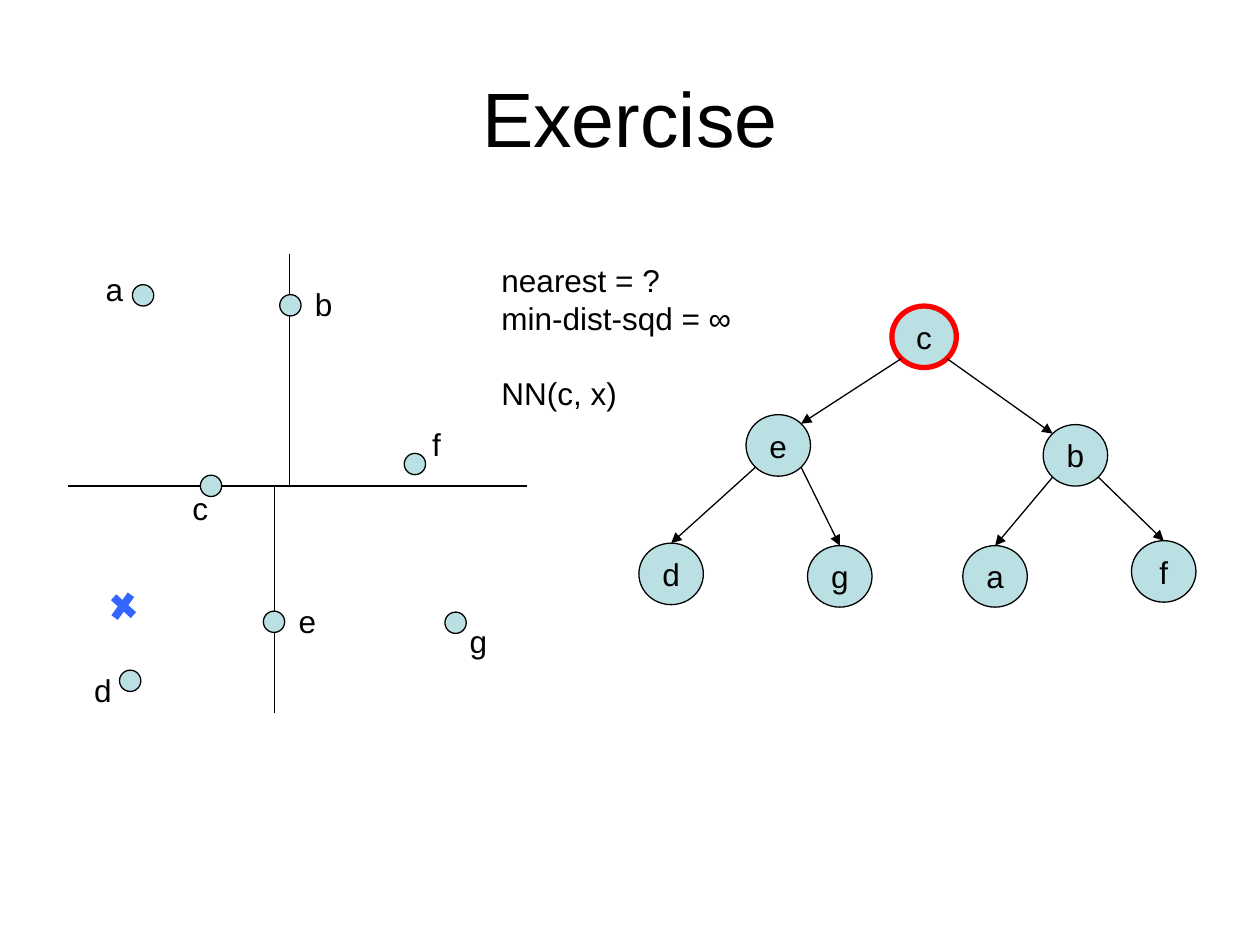
from dataclasses import dataclass
from math import sqrt

from lxml.etree import SubElement
from pptx import Presentation
from pptx.dml.color import RGBColor
from pptx.enum.shapes import MSO_CONNECTOR, MSO_SHAPE
from pptx.enum.text import MSO_ANCHOR, PP_ALIGN
from pptx.oxml.ns import qn
from pptx.util import Cm, Pt


@dataclass(frozen=True)
class Theme:
    ink: str = "000000"
    fill: str = "BBE0E3"
    mark: str = "FF0000"
    query: str = "3366FF"
    font: str = "Arial"
    body: float = 18
    head: float = 44
    thin: float = 0.75
    ring: float = 3
    bold: float = 4.5


class Board:
    """Holds the theme and the current slide."""

    def __init__(self, deck, theme):
        self.theme = theme
        self.slide = deck.slides.add_slide(deck.slide_layouts[5])

    def label(self, frame, lines, size, wrap=False, align=PP_ALIGN.LEFT, **form):
        settings = {"word_wrap": wrap, "margin_left": Cm(0.25), "margin_right": Cm(0.25),
                    "margin_top": Cm(0.13), "margin_bottom": Cm(0.13), **form}
        for name, value in settings.items():
            setattr(frame, name, value)
        for i, line in enumerate(lines):
            para = frame.add_paragraph() if i else frame.paragraphs[0]
            para.alignment = align
            run = para.add_run()
            run.text = line
            for name, value in {"name": self.theme.font, "size": Pt(size)}.items():
                setattr(run.font, name, value)
            run.font.color.rgb = RGBColor.from_string(self.theme.ink)

    def title(self, text, left, top, width, height):
        shape = self.slide.shapes.title
        place = {"left": left, "top": top, "width": width, "height": height}
        for name, value in place.items():
            setattr(shape, name, Cm(value))
        self.label(shape.text_frame, [text], self.theme.head, wrap=True,
                   align=PP_ALIGN.CENTER, vertical_anchor=MSO_ANCHOR.MIDDLE)

    def text(self, lines, left, top, width, height):
        box = self.slide.shapes.add_textbox(Cm(left), Cm(top), Cm(width), Cm(height))
        self.label(box.text_frame, lines, self.theme.body)
        return box.text_frame

    def disc(self, left, top, width, height, label="", color=None, weight=None):
        shape = self.slide.shapes.add_shape(
            MSO_SHAPE.OVAL, Cm(left), Cm(top), Cm(width), Cm(height))
        shape.shadow.inherit = False
        shape.fill.solid()
        shape.fill.fore_color.rgb = RGBColor.from_string(self.theme.fill)
        shape.line.color.rgb = RGBColor.from_string(color or self.theme.ink)
        shape.line.width = Pt(weight or self.theme.thin)
        if label:
            self.label(shape.text_frame, [label], self.theme.body,
                       align=PP_ALIGN.CENTER, vertical_anchor=MSO_ANCHOR.MIDDLE)

    def line(self, start, end, arrow=False, color=None, weight=None, group=None):
        shapes = (group or self.slide).shapes
        link = shapes.add_connector(MSO_CONNECTOR.STRAIGHT, *map(Cm, (*start, *end)))
        link.line.color.rgb = RGBColor.from_string(color or self.theme.ink)
        link.line.width = Pt(weight or self.theme.thin)
        props = link._element.spPr
        if arrow:
            SubElement(props.find(qn("a:ln")), qn("a:tailEnd"), type="triangle")
        SubElement(props, qn("a:effectLst"))

    def cross(self, *strokes):
        group = self.slide.shapes.add_group_shape()
        for start, end in strokes:
            self.line(start, end, color=self.theme.query,
                      weight=self.theme.bold, group=group)


# Dividing lines of the plane
SPLITS = [((1.37, 9.8), (10.62, 9.8)),
          ((5.54, 9.8), (5.54, 14.38)),
          ((5.84, 9.8), (5.84, 5.13))]

# Point name: dot left and top, label left, top and width
DOT = 0.43
POINTS = {"a": (2.67, 5.74, 1.88, 5.31, 0.86),
          "b": (5.64, 5.94, 6.1, 5.61, 0.86),
          "c": (4.04, 9.58, 3.63, 9.73, 0.81),
          "d": (2.41, 13.51, 1.65, 13.39, 0.86),
          "e": (5.31, 12.32, 5.77, 12.01, 0.86),
          "f": (8.15, 9.14, 8.46, 8.43, 0.69),
          "g": (8.97, 12.34, 9.22, 12.4, 0.86)}

# Tree nodes (left, top) and edges (parent, side, child, side)
WIDE, HIGH = 1.3, 1.24
NODES = {"c": (17.98, 6.17), "e": (15.04, 8.36), "b": (21.03, 8.56),
         "d": (12.88, 10.95), "g": (16.28, 11.0),
         "a": (19.41, 11.0), "f": (22.81, 10.9)}
DIAG = sqrt(0.5)
SIDES = {"top": (0, -1), "nw": (-DIAG, -DIAG), "ne": (DIAG, -DIAG),
         "sw": (-DIAG, DIAG), "se": (DIAG, DIAG)}
EDGES = [("c", "sw", "e", "ne"), ("c", "se", "b", "nw"),
         ("b", "sw", "a", "top"), ("b", "se", "f", "top"),
         ("e", "sw", "d", "top"), ("e", "se", "g", "top")]


def rim(node, side):
    left, top = NODES[node]
    dx, dy = SIDES[side]
    return left + WIDE / 2 * (1 + dx), top + HIGH / 2 * (1 + dy)


def main():
    deck = Presentation()
    deck.slide_width, deck.slide_height = Cm(25.4), Cm(19.05)
    theme = Theme()
    board = Board(deck, theme)
    board.title("Exercise", 1.27, 0.76, 22.86, 3.18)

    # Plane with its points
    for start, end in SPLITS:
        board.line(start, end)
    for name, (left, top, x, y, width) in POINTS.items():
        board.disc(left, top, DOT, DOT)
        board.text([name], x, y, width, 1.02)

    # Search tree, with the current node ringed
    for name, (left, top) in NODES.items():
        ring = {"color": theme.mark, "weight": theme.ring} if name == "c" else {}
        board.disc(left, top, WIDE, HIGH, name, **ring)
    for parent, out, child, into in EDGES:
        board.line(rim(parent, out), rim(child, into), arrow=True)

    # Search state, the call set apart by one line
    state = board.text(["nearest = ?", "min-dist-sqd = ∞", "NN(c, x)"],
                       9.86, 5.13, 5.16, 3.3)
    state.paragraphs[-1].space_before = Pt(21.6)

    # Query point
    board.cross(((2.29, 12.04), (2.69, 12.4)), ((2.64, 11.99), (2.31, 12.45)))

    deck.save("out.pptx")


if __name__ == "__main__":
    main()
